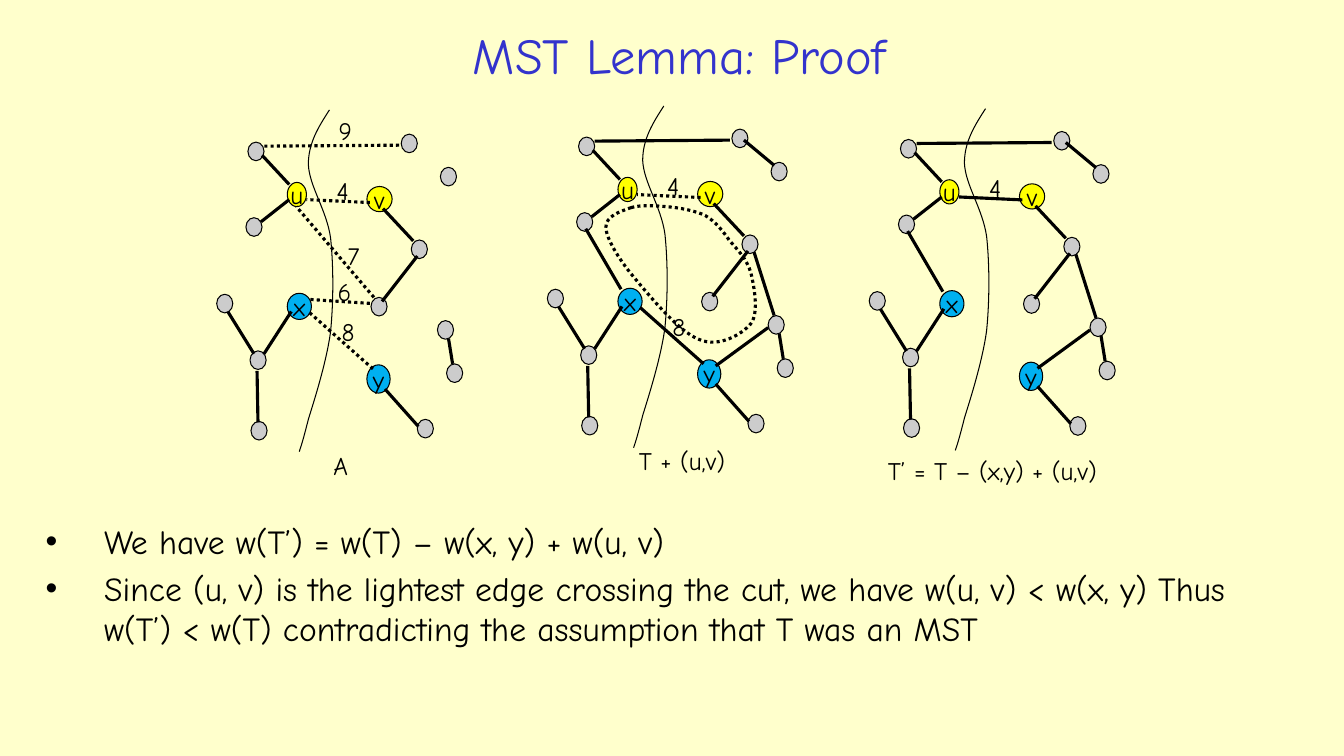
"""Build the MST lemma proof slide: three graphs across a cut, with the argument below."""
from lxml import etree
from pptx import Presentation
from pptx import util as u
from pptx.dml.color import RGBColor
from pptx.enum import dml, shapes, text
from pptx.oxml.ns import qn

rgb = RGBColor.from_string
FONT = "Comic Neue"
DOT = dml.MSO_LINE.ROUND_DOT


def write(tf, lines, size=18, color="000000", align=text.PP_ALIGN.LEFT, wrap=False,
          anchor=text.MSO_ANCHOR.TOP):
    tf.word_wrap = wrap
    tf.vertical_anchor = anchor
    for i, line in enumerate(lines):
        p = tf.paragraphs[0] if i == 0 else tf.add_paragraph()
        p.alignment = align
        r = p.add_run()
        r.text = line
        for name, value in {"name": FONT, "size": u.Pt(size)}.items():
            setattr(r.font, name, value)
        r.font.color.rgb = rgb(color)


def outline(sp, width, dash=None):
    sp.line.color.rgb = rgb("000000")
    sp.line.width = u.Pt(width)
    if dash:
        sp.line.dash_style = dash


prs = Presentation()
prs.slide_width, prs.slide_height = u.Pt(960), u.Pt(540)
s = prs.slides.add_slide(prs.slide_layouts[6])
s.background.fill.solid()
s.background.fill.fore_color.rgb = rgb("FFFFCC")

title = s.shapes.add_textbox(u.Pt(141.8), u.Pt(11.2), u.Pt(686.9), u.Pt(54.7))
write(title.text_frame, ["MST Lemma: Proof"], 36, "3333CC", text.PP_ALIGN.CENTER, True,
      text.MSO_ANCHOR.MIDDLE)

body = s.shapes.add_textbox(u.Pt(25.5), u.Pt(368.4), u.Pt(907.2), u.Pt(153.4))
write(body.text_frame, [
    "We have w(T’) = w(T) – w(x, y) + w(u, v)",
    "Since (u, v) is the lightest edge crossing the cut, we have w(u, v) < w(x, y) Thus "
    "w(T’) < w(T) contradicting the assumption that T was an MST",
], 24, wrap=True)
for p in body.text_frame.paragraphs:
    p.space_before = u.Pt(4.8)
    pPr = p._p.get_or_add_pPr()
    pPr.set("marL", str(u.Pt(41.8)))
    pPr.set("indent", str(-u.Pt(41.8)))
    etree.SubElement(pPr, qn("a:buFont")).set("typeface", "Arial")
    etree.SubElement(pPr, qn("a:buChar")).set("char", "•")

GREY, YELLOW, BLUE = "CCCCCC", "FFFF00", "00B0F0"
plain_nodes = [
    (177.1, 101.5), (175.7, 155.5), (154.8, 210.2), (178.6, 250.6), (179.3, 301),
    (286.6, 95.8), (314.6, 119.5), (293.8, 171.4), (265, 212.4), (298.1, 299.5),
    (312.5, 229), (319, 259.9),
]
nodes = [(x, y, 11.5, 13.3, GREY, "") for x, y in plain_nodes] + [
    (205.2, 130.3, 13.7, 17.3, YELLOW, "u"), (262.1, 133.2, 18, 18, YELLOW, "v"),
    (205.2, 209.5, 17.3, 18.7, BLUE, "x"), (262.1, 260.6, 16.6, 20.2, BLUE, "y"),
]

shared = [
    (206.6, 131.8, 187.2, 110.9), (206.6, 142.6, 186.5, 158.4),
    (181.4, 252.7, 162.7, 222.5), (208.1, 222.5, 188.6, 252.7),
    (183.6, 265, 184.3, 301.7), (295.2, 172.1, 273.6, 149),
    (298.1, 182.9, 272.9, 215.3), (298.8, 304.6, 275, 277.9),
    (323.3, 259.9, 320.4, 241.9),
]
top = (285.1, 103.7, 188.6, 104.4)
tree = shared + [
    top, (316.8, 229, 302.4, 183.6), (316.8, 121.7, 295.2, 103.7),
    (312.5, 237.6, 275, 265), (207.4, 210.2, 182.2, 167),
]
uv = (264.2, 144.7, 218.9, 142.6)
xy = (266.4, 263.5, 221, 223.2)
six = (264.2, 216.7, 219.6, 213.8)
seven = (267.1, 212.4, 211.7, 147.6)

weights = {"4": (233.3, 121.7), "6": (234, 193.7), "7": (241.2, 167.8),
           "8": (236.9, 222.5), "9": (234.7, 78.5)}

cut = [
    (235.4, 78.5), (227.5, 90.7), (220.3, 102.2), (220.3, 117.4),
    (221, 133.2), (233.3, 149.8), (236.2, 169.9),
    (238.3, 190.1), (238.3, 215.3), (236.2, 236.9),
    (233.3, 258.5), (224.6, 285.8), (220.3, 299.5),
    (216.7, 313.9), (215.3, 318.2), (213.8, 322.6),
]
cycle = [
    (450.7, 148.3), (442.8, 151.2), (432.7, 154.1), (432.7, 162.7),
    (433.4, 170.6), (441.4, 184.3), (452.2, 197.3),
    (463.7, 211), (485.3, 237.6), (499.7, 242.6),
    (513.4, 248.4), (529.9, 239), (536.4, 231.1),
    (542.2, 223.2), (538.6, 204.5), (536.4, 195.1),
    (533.5, 185), (527, 178.6), (521.3, 172.1),
    (516.2, 164.9), (511.2, 158.4), (504, 154.1),
    (496.8, 150.5), (485.3, 148.3), (475.9, 147.6),
    (467.3, 146.9), (457.9, 146.2), (450.7, 148.3),
]

graphs = [
    (0, 0, shared, [top, uv, xy, six, seven], "46789", "A", (231.1, 318.2, 27.4)),
    (236.2, -3.6, tree + [xy], [uv], "48", "T + (u,v)", (449.3, 314.6, 82.8)),
    (466.1, -1.9, tree + [uv], [], "4", "T’ = T – (x,y) + (u,v)", (627.1, 321.8, 175)),
]
for dx, dy, solid, dotted, shown, caption, (cx, cy, cw) in graphs:
    for x, y, w, h, fill, name in nodes:
        sp = s.shapes.add_shape(shapes.MSO_SHAPE.OVAL, u.Pt(x + dx), u.Pt(y + dy),
                                u.Pt(w), u.Pt(h))
        sp.shadow.inherit = False
        sp.fill.solid()
        sp.fill.fore_color.rgb = rgb(fill)
        outline(sp, 0.75)
        if name:
            write(sp.text_frame, [name], align=text.PP_ALIGN.CENTER,
                  anchor=text.MSO_ANCHOR.MIDDLE)
    for edges, dash in ((solid, None), (dotted, DOT)):
        for x1, y1, x2, y2 in edges:
            edge = s.shapes.add_connector(shapes.MSO_CONNECTOR.STRAIGHT, u.Pt(x1 + dx),
                                          u.Pt(y1 + dy), u.Pt(x2 + dx), u.Pt(y2 + dy))
            outline(edge, 2.25, dash)
            etree.SubElement(edge._element.spPr, qn("a:effectLst"))
    labels = [(k, weights[k][0] + dx, weights[k][1] + dy, 25.2) for k in shown]
    for label, x, y, w in labels + [(caption, cx, cy, cw)]:
        box = s.shapes.add_textbox(u.Pt(x), u.Pt(y), u.Pt(w), u.Pt(28.8))
        write(box.text_frame, [label])

curves = [(cut, 0, 0, 0.75, None, False), (cut, 238.8, -2.8, 0.75, None, False),
          (cut, 468.6, -0.9, 0.75, None, False), (cycle, 0, 0, 2.25, DOT, True)]
for points, dx, dy, width, dash, closed in curves:
    start, *rest = [(u.Pt(x + dx), u.Pt(y + dy)) for x, y in points]
    builder = s.shapes.build_freeform(*start)
    builder.add_line_segments(rest, close=closed)
    sp = builder.convert_to_shape()
    segments = list(sp._element.iter(qn("a:lnTo")))
    for i in range(0, len(segments), 3):
        bezier = etree.Element(qn("a:cubicBezTo"))
        segments[i].addprevious(bezier)
        for segment in segments[i:i + 3]:
            bezier.append(segment[0])
            segment.getparent().remove(segment)
    sp.shadow.inherit = False
    sp.fill.background()
    outline(sp, width, dash)

prs.save("out.pptx")
